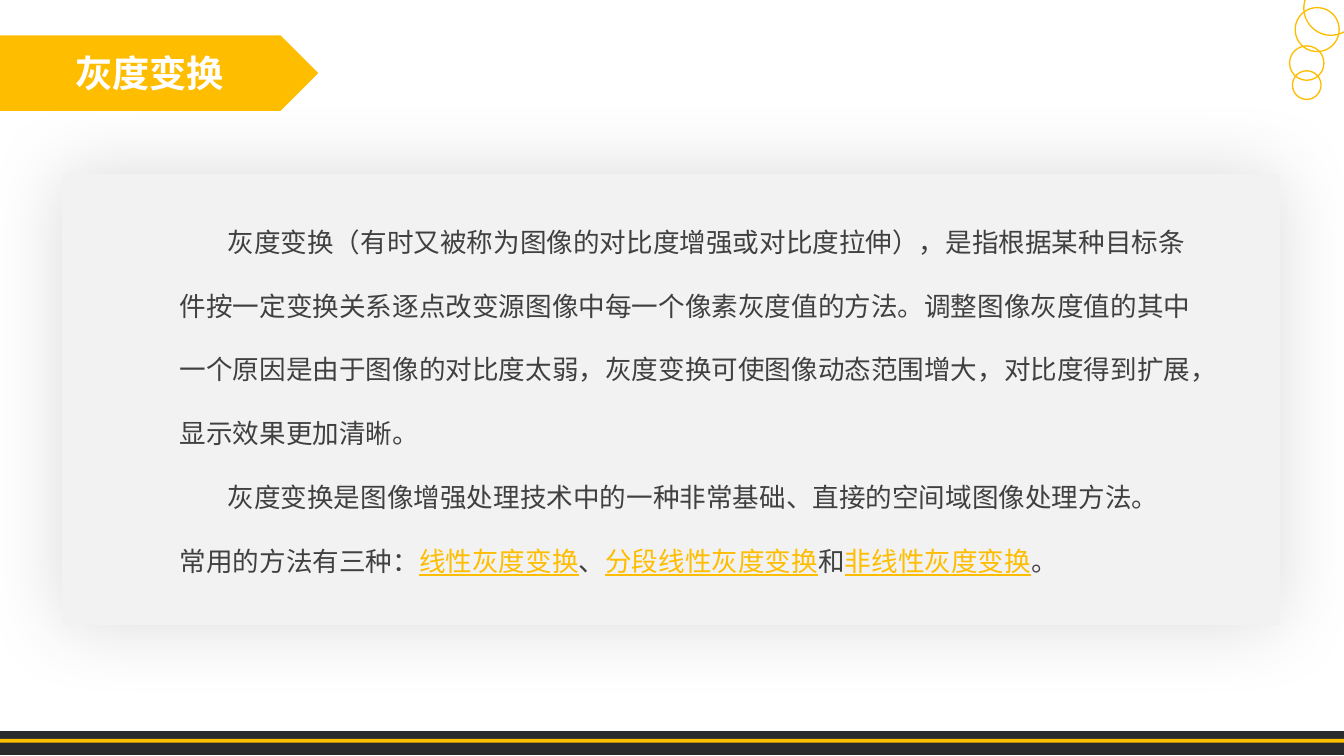
from lxml import etree
from pptx import Presentation
from pptx.dml.color import RGBColor
from pptx.enum.shapes import MSO_SHAPE
from pptx.enum.text import MSO_ANCHOR, MSO_AUTO_SIZE, PP_ALIGN
from pptx.oxml.ns import qn
from pptx.util import Inches, Pt

RECT, OVAL, PENTAGON = MSO_SHAPE.RECTANGLE, MSO_SHAPE.OVAL, MSO_SHAPE.PENTAGON
TOP, MIDDLE = MSO_ANCHOR.TOP, MSO_ANCHOR.MIDDLE
LEFT, CENTER = PP_ALIGN.LEFT, PP_ALIGN.CENTER
FIXED_SIZE = MSO_AUTO_SIZE.NONE

WHITE = RGBColor(0xFF, 0xFF, 0xFF)
PALE = RGBColor(0xF2, 0xF2, 0xF2)
INK = RGBColor(0x40, 0x40, 0x40)
DARK = RGBColor(0x2A, 0x2B, 0x2D)
GOLD = RGBColor(0xFF, 0xC0, 0x00)
AMBER = RGBColor(0xFF, 0xBD, 0x00)
CJK_FONT = "Noto Sans CJK SC"


def add_run(paragraph, text, size=20, color=INK, font=CJK_FONT, bold=False, underline=False):
    run = paragraph.add_run()
    run.text = text
    run.font.size, run.font.name = Pt(size), font
    run.font.bold, run.font.underline = bold, underline
    run.font.color.rgb = color
    east_asian = etree.Element(qn("a:ea"), typeface=CJK_FONT)
    run.font._element.find(qn("a:latin")).addnext(east_asian)


class Deck:
    """Places elements by percentages of the slide's width and height."""

    def __init__(self, width, height):
        self.prs = Presentation()
        self.prs.slide_width, self.prs.slide_height = Inches(width), Inches(height)
        self.slide = self.prs.slides.add_slide(self.prs.slide_layouts[1])

    def x(self, percent):
        return int(self.prs.slide_width * percent / 100)

    def y(self, percent):
        return int(self.prs.slide_height * percent / 100)

    def box(self, left, top, width, height):
        return self.x(left), self.y(top), self.x(width), self.y(height)

    def block(self, kind, area, fill):
        shape = self.slide.shapes.add_shape(kind, *self.box(*area))
        shape.shadow.inherit = False
        shape.fill.solid()
        shape.fill.fore_color.rgb = fill
        shape.line.fill.background()
        return shape

    def ring(self, left, top, diameter):
        size = self.x(diameter)
        shape = self.slide.shapes.add_shape(OVAL, self.x(left), self.y(top), size, size)
        shape.shadow.inherit = False
        shape.fill.background()
        shape.line.color.rgb, shape.line.width = AMBER, Pt(1)

    def glow(self, shape, blur, opacity):
        effects = shape._element.spPr.find(qn("a:effectLst"))
        shadow = etree.SubElement(effects, qn("a:outerShdw"), blurRad=str(Pt(blur)),
                                  dist="0", dir="0", algn="ctr", rotWithShape="0")
        color = etree.SubElement(shadow, qn("a:srgbClr"), val="000000")
        etree.SubElement(color, qn("a:alpha"), val=str(opacity * 1000))

    def text(self, placeholder, area, paragraphs, align=LEFT, anchor=TOP, spacing=1.0):
        """Each paragraph is its first-line indent in inches and a list of (text, format)."""
        self.slide.shapes._spTree.append(placeholder._element)
        (placeholder.left, placeholder.top,
         placeholder.width, placeholder.height) = self.box(*area)
        frame = placeholder.text_frame
        frame.word_wrap, frame.auto_size = True, FIXED_SIZE
        frame.vertical_anchor = anchor
        for number, (indent, pieces) in enumerate(paragraphs):
            paragraph = frame.add_paragraph() if number else frame.paragraphs[0]
            properties = paragraph._p.get_or_add_pPr()
            properties.set("marL", "0")
            properties.set("indent", str(Inches(indent)))
            etree.SubElement(properties, qn("a:buNone"))
            paragraph.alignment, paragraph.line_spacing = align, spacing
            paragraph.space_before = Pt(0)
            for words, style in pieces:
                add_run(paragraph, words, **style)


def main():
    deck = Deck(14.06, 7.91)

    # Footer stripes
    for top, height, color in ((96.71, 1.14, DARK), (97.73, 1.14, GOLD), (98.23, 1.64, DARK)):
        deck.block(RECT, (0, top, 100, height), color)

    # Panel with its explanation
    panel = deck.block(RECT, (4.62, 23.01, 90.61, 59.67), PALE)
    deck.glow(panel, blur=60, opacity=15)
    method = {"color": AMBER, "underline": True}
    explanation = [
        (0.5, [("灰度变换（有时又被称为图像的对比度增强或对比度拉伸），是指根据某种目标条件按一定变换关系"
                "逐点改变源图像中每一个像素灰度值的方法。调整图像灰度值的其中一个原因是由于图像的对比度太弱，"
                "灰度变换可使图像动态范围增大，对比度得到扩展，显示效果更加清晰。", {})]),
        (0.5, [("灰度变换是图像增强处理技术中的一种非常基础、直接的空间域图像处理方法。", {})]),
        (0, [("常用的方法有三种：", {}), ("线性灰度变换", method), ("、", {}),
             ("分段线性灰度变换", method), ("和", {}), ("非线性灰度变换", method), ("。", {})]),
    ]
    deck.text(deck.slide.placeholders[1], (12.66, 25.03, 77.67, 52.34), explanation, spacing=2.0)

    # Corner rings
    for left, top, diameter in ((97.01, -2.53, 4.05), (96.37, 1.01, 3.27),
                                (95.95, 6.07, 2.56), (96.16, 9.36, 2.13)):
        deck.ring(left, top, diameter)

    # Title banner
    deck.block(PENTAGON, (0, 4.68, 23.68, 9.99), AMBER)
    heading = {"size": 28, "color": WHITE, "font": "Arial", "bold": True}
    deck.text(deck.slide.shapes.title, (0, 4.68, 22.26, 9.99),
              [(0, [("灰度变换", heading)])], align=CENTER, anchor=MIDDLE)

    deck.prs.save("out.pptx")


if __name__ == "__main__":
    main()
